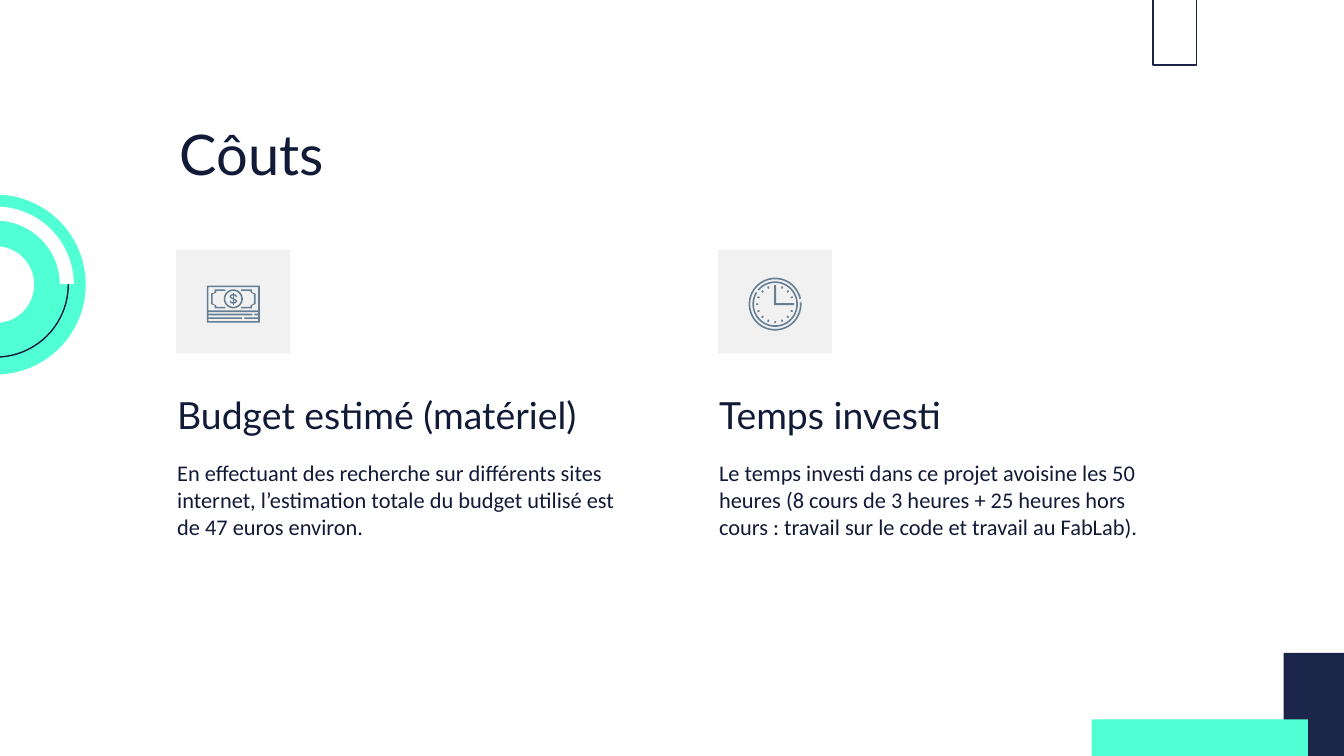
import math

import pptx
import pptx.dml.color
import pptx.enum.shapes
import pptx.enum.text
import pptx.util

Cm = pptx.util.Cm
Pt = pptx.util.Pt
SHAPES = pptx.enum.shapes.MSO_SHAPE
ANCHORS = pptx.enum.text.MSO_ANCHOR
COLORS = {
    "ink": "111A37",
    "navy": "1A2549",
    "mint": "51FFD5",
    "white": "FFFFFF",
    "tile": "F1F1F1",
    "icon": "657E93",
}


def color(name):
    """Return the named colour."""
    return pptx.dml.color.RGBColor.from_string(COLORS[name])


def paint(shape, fill=None, line=None):
    """Set fill and outline, and remove the shadow."""
    shape.shadow.inherit = False
    if fill:
        shape.fill.solid()
        shape.fill.fore_color.rgb = color(fill)
    else:
        shape.fill.background()
    if line:
        shape.line.color.rgb = color(line)
        shape.line.width = Pt(0.75)
    else:
        shape.line.fill.background()


def add_preset(slide, kind, box, fill=None, line=None):
    """Add a preset shape in a box of centimetres."""
    shape = slide.shapes.add_shape(kind, *map(Cm, box))
    paint(shape, fill, line)
    return shape


def add_outline(slide, center, contours, fill="icon", line=None):
    """Add one freeform from contours given around a centre."""
    placed = [
        [(Cm(center[0] + x), Cm(center[1] + y)) for x, y in contour]
        for contour in contours
    ]
    builder = slide.shapes.build_freeform(*placed[0][0])
    for index, contour in enumerate(placed):
        if index:
            builder.move_to(*contour[0])
        builder.add_line_segments(contour[1:], close=bool(fill))
    paint(builder.convert_to_shape(), fill, line)


def rectangle(left, top, right, bottom):
    """Return the corners of a rectangle."""
    return [(left, top), (right, top), (right, bottom), (left, bottom)]


def arc(radius, start=0, sweep=360, steps=72):
    """Return points along an arc, clockwise in degrees."""
    angles = [math.radians(start + sweep * step / steps) for step in range(steps + 1)]
    return [(radius * math.cos(angle), radius * math.sin(angle)) for angle in angles]


def add_text(slide, box, text, size, font, anchor=ANCHORS.TOP):
    """Add a wrapped text box holding one run."""
    frame = slide.shapes.add_textbox(*map(Cm, box)).text_frame
    frame.word_wrap = True
    frame.vertical_anchor = anchor
    frame.margin_left = frame.margin_right = Cm(0.25)
    frame.margin_top = frame.margin_bottom = Cm(0.25)
    run = frame.paragraphs[0].add_run()
    run.text = text
    run.font.size = Pt(size)
    run.font.name = font
    run.font.color.rgb = color("ink")


def add_target(slide, box):
    """Draw the concentric rings, centred in the box."""
    left, top, side = box

    def centered(diameter):
        inset = (side - diameter) / 2
        return left + inset, top + inset, diameter, diameter

    add_preset(slide, SHAPES.OVAL, centered(3.4), "mint")
    add_preset(slide, SHAPES.OVAL, centered(2.74), line="ink")
    add_preset(slide, SHAPES.OVAL, centered(1.45), "white")
    band = add_preset(slide, SHAPES.BLOCK_ARC, centered(2.95), "white")
    band.rotation = 90
    for index, value in enumerate((108, 161.75, 0.09)):
        band.adjustments[index] = value


def add_corners(slide, width, height):
    """Draw the rectangles at the slide's right edges."""
    add_preset(slide, SHAPES.RECTANGLE, (width - 3.61, -0.75, 0.82, 1.98), line="navy")
    add_preset(slide, SHAPES.RECTANGLE, (width - 1.14, height - 1.95, 1.14, 1.95), "navy")
    add_preset(slide, SHAPES.RECTANGLE, (width - 4.77, height - 0.69, 4.09, 0.69), "mint")


def add_banknote(slide, center):
    """Draw the banknote icon around its centre."""
    x, y = center
    face = x, y - 0.1
    add_outline(slide, center, [
        rectangle(-0.5, -0.35, 0.5, 0.35),
        rectangle(-0.47, -0.32, 0.47, 0.12),
        rectangle(-0.47, 0.15, 0.47, 0.32),
        rectangle(-0.47, 0.18, 0.36, 0.21),
        rectangle(0.4, 0.18, 0.47, 0.21),
        rectangle(-0.47, 0.25, 0.16, 0.28),
        rectangle(0.21, 0.25, 0.47, 0.28),
    ])
    upper = [
        (0.15, -0.18), (0.35, -0.18), (0.35, -0.15), (0.35, -0.15),
        (0.32, -0.15), (0.32, -0.15), (0.39, -0.1), (0.39, -0.1),
    ]
    upper = [
        (-0.39, -0.09), (-0.42, -0.09), (-0.42, -0.1), (-0.36, -0.12),
        (-0.35, -0.18), (-0.15, -0.18), (-0.15, -0.15), (-0.32, -0.15),
        (-0.33, -0.12), (-0.39, -0.09),
    ]
    bracket = upper[1:] + [(px, -py) for px, py in reversed(upper[1:])]
    for side in (1, -1):
        add_outline(slide, face, [[(side * px, py) for px, py in bracket]])
    add_outline(slide, face, [arc(0.18), arc(0.15)])
    curve = [
        (0.06, -0.04), (0.04, -0.07), (0, -0.08), (-0.04, -0.07), (-0.06, -0.04),
        (-0.04, -0.02), (0.04, 0.02), (0.06, 0.04), (0.04, 0.07), (0, 0.08),
        (-0.04, 0.07), (-0.06, 0.04),
    ]
    stem = [(0, -0.11), (0, 0.11)]
    add_outline(slide, face, [curve, stem], fill=None, line="icon")


def add_clock(slide, center):
    """Draw the clock icon around its centre."""
    for outer, inner, start in ((0.5, 0.47, -4), (0.43, 0.4, 220)):
        ring = arc(outer, start, 352) + arc(inner, start, 352)[::-1]
        add_outline(slide, center, [ring])
    add_outline(slide, center, [[
        (-0.02, -0.36), (0.02, -0.36), (0.02, -0.02),
        (0.36, -0.02), (0.36, 0.02), (-0.02, 0.02),
    ]])
    for index in range(16):
        if index not in (0, 12):
            angle = index * 22.5
            tick = arc(0.36, angle - 2.5, 5, 1) + arc(0.32, angle + 2.5, -5, 1)
            add_outline(slide, center, [tick])


def add_panel(slide, box, heading, body, add_icon):
    """Place an icon tile, a heading and a paragraph in the box."""
    left, top, width = box
    add_text(slide, (left, top + 1.99, width, 1.8), heading, 20, "Lato", ANCHORS.BOTTOM)
    add_text(slide, (left, top + 3.71, width, 3.81), body, 12, "Calibri")
    add_preset(slide, SHAPES.RECTANGLE, (left + 0.23, top, 2.16, 1.96), "tile")
    add_icon(slide, (left + 1.31, top + 1.03))


def main():
    """Build and save the slide."""
    width, height = 25.4, 14.29
    presentation = pptx.Presentation()
    presentation.slide_width = Cm(width)
    presentation.slide_height = Cm(height)
    slide = presentation.slides.add_slide(presentation.slide_layouts[6])
    add_target(slide, (-1.78, 3.68, 3.4))
    add_corners(slide, width, height)
    add_text(slide, (3.15, 2.01, 21.41, 1.6), "Côuts", 30, "Lato")
    panels = [
        ("Budget estimé (matériel)",
         "En effectuant des recherche sur différents sites internet, "
         "l’estimation totale du budget utilisé est de 47 euros environ.",
         add_banknote),
        ("Temps investi",
         "Le temps investi dans ce projet avoisine les 50 heures (8 cours de 3 heures "
         "+ 25 heures hors cours : travail sur le code et travail au FabLab).",
         add_clock),
    ]
    for index, panel in enumerate(panels):
        add_panel(slide, (3.1 + index * 10.24, 4.72, 8.99), *panel)
    presentation.save("out.pptx")


if __name__ == "__main__":
    main()
